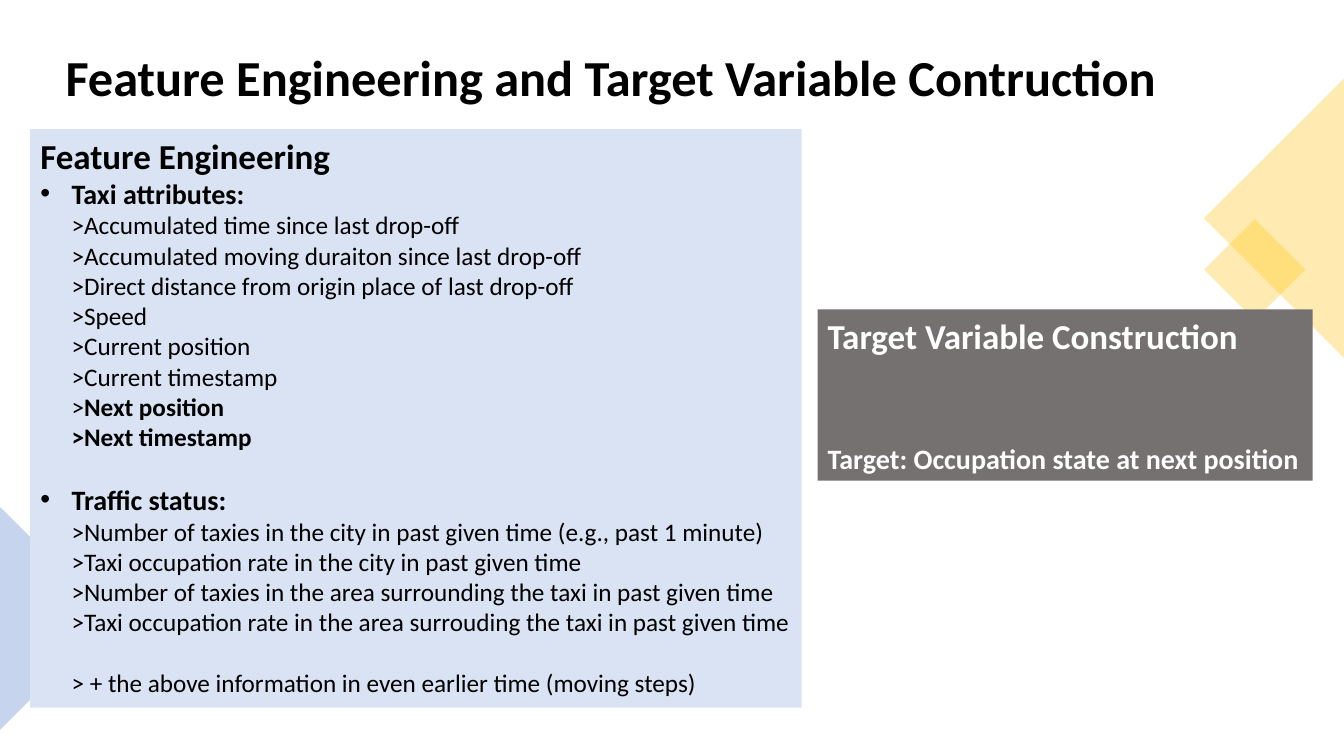
from lxml import etree
from pptx import Presentation
from pptx.dml.color import RGBColor
from pptx.enum import shapes, text
from pptx.oxml import ns
from pptx.util import Inches, Pt

BLACK = RGBColor(0x00, 0x00, 0x00)
WHITE = RGBColor(0xFF, 0xFF, 0xFF)
GOLD = RGBColor(0xFF, 0xC0, 0x00)
BLUE = RGBColor(0x44, 0x72, 0xC4)
PALE_BLUE = RGBColor(0xDA, 0xE3, 0xF3)
GREY = RGBColor(0x76, 0x71, 0x71)


def add_plain_shape(kind, box, color):
    shape = slide.shapes.add_shape(kind, *map(Inches, box))
    shape.shadow.inherit = False
    shape.fill.solid()
    shape.fill.fore_color.rgb = color
    shape.line.fill.background()
    return shape


def format_runs(paragraph, size, color, bold=True):
    for run in paragraph.runs:
        run.font.name = "Calibri"
        run.font.size = Pt(size)
        run.font.bold = bold
        run.font.color.rgb = color


deck = Presentation()
deck.slide_width, deck.slide_height = Inches(13.33), Inches(7.5)
slide = deck.slides.add_slide(deck.slide_layouts[1])

RECTANGLE = shapes.MSO_SHAPE.RECTANGLE
TRIANGLE = shapes.MSO_SHAPE.ISOSCELES_TRIANGLE
for kind, box, rotation, color in [
    (RECTANGLE, (12.09, 2.32, 0.71, 0.71), 45, GOLD),
    (TRIANGLE, (11.25, 1.47, 2.77, 1.39), 270, GOLD),
    (TRIANGLE, (-0.55, 5.58, 2.21, 1.11), 90, BLUE),
]:
    corner = add_plain_shape(kind, box, color)
    corner.rotation = rotation
    tint = corner.fill._xPr.find(".//" + ns.qn("a:srgbClr"))
    etree.SubElement(tint, ns.qn("a:alpha"), val="30000")

title, features = slide.placeholders
for placeholder, box, anchor in [
    (title, (0.55, 0.18, 11.93, 1.24), text.MSO_ANCHOR.MIDDLE),
    (features, (0.3, 1.28, 7.65, 5.74), text.MSO_ANCHOR.TOP),
]:
    slide.shapes.element.append(placeholder.element)
    placeholder.left, placeholder.top, placeholder.width, placeholder.height = map(Inches, box)
    placeholder.text_frame.auto_size = text.MSO_AUTO_SIZE.NONE
    placeholder.text_frame.vertical_anchor = anchor

title.text_frame.text = "Feature Engineering and Target Variable Contruction"
headline = title.text_frame.paragraphs[0]
headline.alignment = text.PP_ALIGN.LEFT
headline.line_spacing = 0.9
format_runs(headline, 36, BLACK)

features.fill.solid()
features.fill.fore_color.rgb = PALE_BLUE
feature_lines = [
    ("heading", "Feature Engineering", 0),
    ("group", "Taxi attributes:", 0),
    ("item", ">Accumulated time since last drop-off", 0),
    ("item", ">Accumulated moving duraiton since last drop-off", 0),
    ("item", ">Direct distance from origin place of last drop-off", 0),
    ("item", ">Speed", 0),
    ("item", ">Current position", 0),
    ("item", ">Current timestamp", 0),
    ("item", ">", 0),
    ("key item", ">Next timestamp", 0),
    ("group", "Traffic status:", 22),
    ("item", ">Number of taxies in the city in past given time (e.g., past 1 minute)", 0),
    ("item", ">Taxi occupation rate in the city in past given time", 0),
    ("item", ">Number of taxies in the area surrounding the taxi in past given time", 0),
    ("item", ">Taxi occupation rate in the area surrouding the taxi in past given time", 0),
    ("item", "> + the above information in even earlier time (moving steps)", 22),
]
sizes = {"heading": 25, "group": 20, "item": 18, "key item": 18}
features.text_frame.text = "\n".join(line for _, line, _ in feature_lines)
for paragraph, (level, line, gap) in zip(features.text_frame.paragraphs, feature_lines):
    paragraph.space_before = Pt(gap)
    properties = paragraph._p.get_or_add_pPr()
    properties.set("marL", str(0 if level == "heading" else Inches(0.31)))
    properties.set("indent", str(Inches(-0.31) if level == "group" else 0))
    if level == "group":
        etree.SubElement(properties, ns.qn("a:buChar"), char="•")
    else:
        etree.SubElement(properties, ns.qn("a:buNone"))
    format_runs(paragraph, sizes[level], BLACK, level != "item")
    if line == ">":
        next_position = paragraph.add_run()
        next_position.text = "Next position"
        next_position.font.name = "Calibri"
        next_position.font.size = Pt(18)
        next_position.font.bold = True
        next_position.font.color.rgb = BLACK

target = add_plain_shape(RECTANGLE, (8.11, 3.07, 4.91, 1.7), GREY)
target.text_frame.vertical_anchor = text.MSO_ANCHOR.TOP
target.text_frame.word_wrap = True
target.text_frame.text = "Target Variable Construction\nTarget: Occupation state at next position"
for paragraph, size, gap in zip(target.text_frame.paragraphs, (25, 20), (0, 61)):
    paragraph.alignment = text.PP_ALIGN.LEFT
    paragraph.space_before = Pt(gap)
    format_runs(paragraph, size, WHITE)

deck.save("out.pptx")
